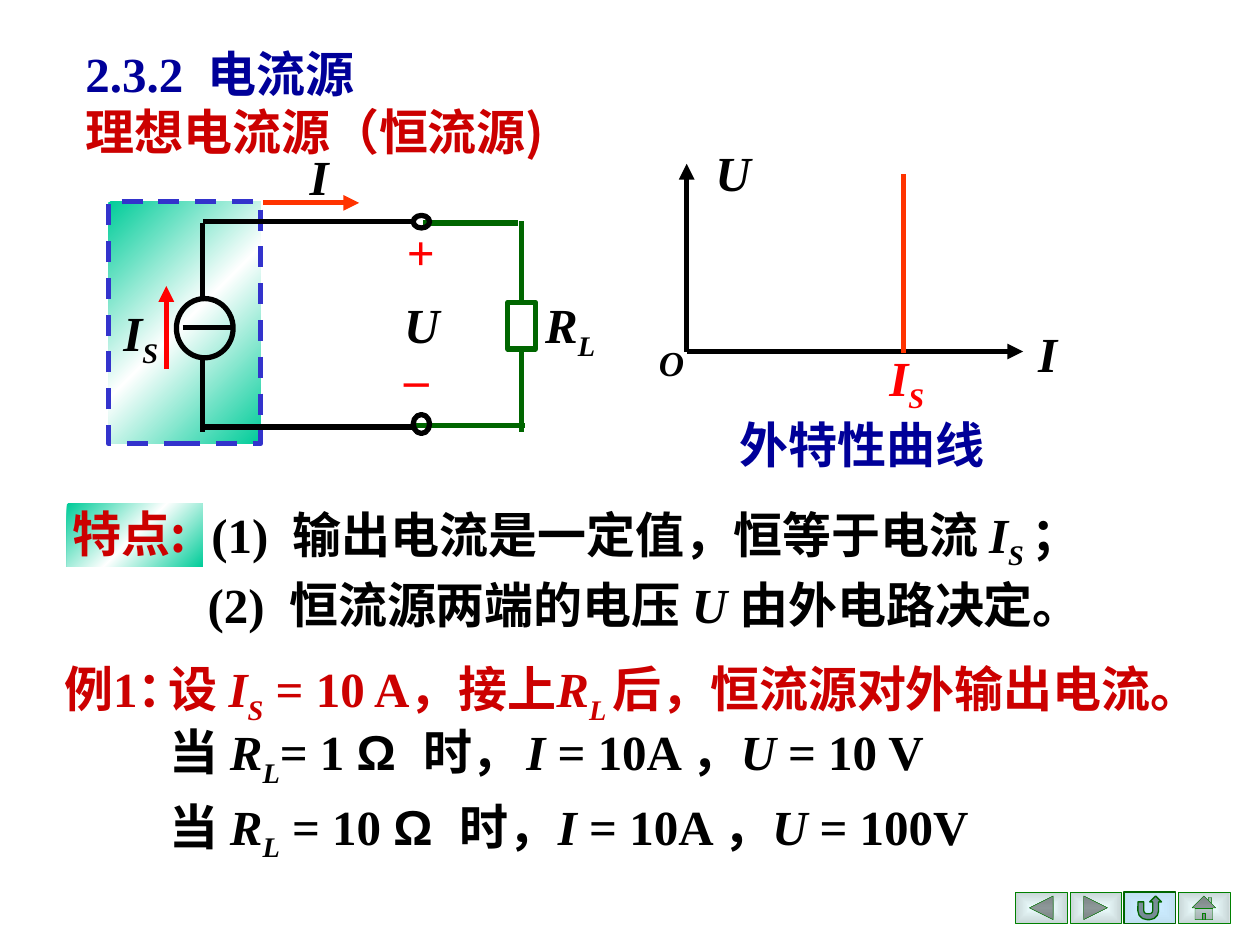
from dataclasses import dataclass
from typing import NamedTuple

import pptx
import pptx.dml.color
import pptx.enum.dml
import pptx.enum.shapes
import pptx.enum.text
import pptx.oxml
import pptx.oxml.ns
import pptx.util

COLS, ROWS = 100, 75
WIDE, HIGH = pptx.util.Inches(10), pptx.util.Inches(7.5)
HUES = {
    "ink": "000000", "navy": "000099", "brick": "CC0000", "red": "FF0000",
    "flame": "FF3300", "moss": "006600", "green": "008000", "blue": "3333CC",
    "mint": "00CC99", "white": "FFFFFF", "ice": "ECFDFE", "steel": "C7D5D6",
    "sky": "CCECFF", "pond": "C1E0F2",
}
HAN, ROMAN, SANS = "Noto Sans CJK SC", "Times New Roman", "Arial"
KINDS = pptx.enum.shapes.MSO_SHAPE


class Run(NamedTuple):
    text: str
    slant: bool = False
    sub: bool = False
    font: str = ROMAN


class Box(NamedTuple):
    col: float
    row: float
    cols: float
    rows: float


@dataclass
class Note:
    box: Box
    runs: list[Run]
    hue: str = "ink"
    size: int = 28
    wrap: bool = True
    mid: bool = False
    align: str = "LEFT"
    lead: float = 1


@dataclass
class Wire:
    start: tuple[float, float]
    end: tuple[float, float]
    hue: str = "ink"
    arrow: bool = False


@dataclass
class Form:
    kind: KINDS
    box: Box
    line: str = ""
    width: float = 3
    fade: str = ""
    dash: bool = False


def var(text: str, sub: str = "") -> list[Run]:
    return [Run(text, True)] + ([Run(sub, True, True)] if sub else [])


def across(cols: float) -> int:
    return round(WIDE * cols / COLS)


def down(rows: float) -> int:
    return round(HIGH * rows / ROWS)


def place(box: Box) -> tuple[int, int, int, int]:
    return across(box.col), down(box.row), across(box.cols), down(box.rows)


def tint(hue: str) -> pptx.dml.color.RGBColor:
    return pptx.dml.color.RGBColor.from_string(HUES[hue])


def blend(stops: list[str], tail: str):
    step = 100000 // (len(stops) - 1)
    marks = "".join(
        f'<a:gs pos="{n * step}"><a:srgbClr val="{HUES[hue]}"/></a:gs>'
        for n, hue in enumerate(stops))
    space = pptx.oxml.ns.nsdecls("a")
    return pptx.oxml.parse_xml(
        f'<a:gradFill {space} rotWithShape="1"><a:gsLst>{marks}</a:gsLst>{tail}</a:gradFill>')


SLOPE = '<a:lin ang="13500000" scaled="1"/>'
CORE = ('<a:path path="rect"><a:fillToRect l="50000" t="50000" '
        'r="50000" b="50000"/></a:path>')
FADES = {
    "sheen": (["mint", "white", "mint"], SLOPE),
    "key": (["ice", "steel"], CORE),
    "back": (["sky", "pond"], CORE),
}


def draw_form(slide, form: Form):
    shape = slide.shapes.add_shape(form.kind, *place(form.box))
    shape.shadow.inherit = False
    shape.fill.background()
    if form.fade:
        props = shape.element.spPr
        props.replace(props.find(pptx.oxml.ns.qn("a:noFill")), blend(*FADES[form.fade]))
    if form.line:
        shape.line.color.rgb = tint(form.line)
        shape.line.width = pptx.util.Pt(form.width)
        if form.dash:
            shape.line.dash_style = pptx.enum.dml.MSO_LINE.DASH
    else:
        shape.line.fill.background()
    return shape


def draw_wire(slide, wire: Wire):
    link = slide.shapes.add_connector(
        pptx.enum.shapes.MSO_CONNECTOR.STRAIGHT,
        across(wire.start[0]), down(wire.start[1]),
        across(wire.end[0]), down(wire.end[1]))
    link.line.color.rgb = tint(wire.hue)
    link.line.width = pptx.util.Pt(3)
    props = link.element.spPr
    if wire.arrow:
        line = props.find(pptx.oxml.ns.qn("a:ln"))
        line.append(line.makeelement(pptx.oxml.ns.qn("a:tailEnd"), {"type": "triangle"}))
    props.append(props.makeelement(pptx.oxml.ns.qn("a:effectLst"), {}))
    return link


def draw_note(slide, note: Note) -> None:
    frame = slide.shapes.add_textbox(*place(note.box)).text_frame
    frame.word_wrap = note.wrap
    anchors = pptx.enum.text.MSO_ANCHOR
    frame.vertical_anchor = anchors.MIDDLE if note.mid else anchors.TOP
    para = frame.paragraphs[0]
    para.alignment = pptx.enum.text.PP_ALIGN[note.align]
    para.line_spacing = note.lead
    for part in note.runs:
        run = para.add_run()
        run.text = part.text
        font = run.font
        font.name, font.size = part.font, pptx.util.Pt(note.size)
        font.bold, font.italic = True, part.slant
        font.color.rgb = tint(note.hue)
        props = run._r.get_or_add_rPr()
        props.append(props.makeelement(pptx.oxml.ns.qn("a:ea"), {"typeface": HAN}))
        if part.sub:
            props.set("baseline", "-25000")


KEYS = [KINDS.ACTION_BUTTON_BACK_OR_PREVIOUS, KINDS.ACTION_BUTTON_FORWARD_OR_NEXT,
        KINDS.ACTION_BUTTON_RETURN, KINDS.ACTION_BUTTON_HOME]
PANELS = [
    Form(KINDS.RECTANGLE, Box(8.6, 16, 12.1, 19.2), "blue", fade="sheen", dash=True),
    Form(KINDS.RECTANGLE, Box(5.3, 40, 10.8, 5), fade="sheen"),
]
RINGS = [Form(KINDS.OVAL, box, "ink") for box in (
    Box(14, 23.7, 4.5, 4.7), Box(32.8, 17.1, 1.3, 1), Box(32.8, 32.9, 1.3, 1.5))]
LOAD = Form(KINDS.RECTANGLE, Box(40.3, 24, 2.2, 3.7), "moss")
LEGS = [(0, Wire((41.4, 24), (41.4, 17.5), "moss")),
        (2, Wire((41.4, 27.7), (41.4, 34.3), "moss"))]
WIRES = [
    Wire((33.6, 17.7), (41.1, 17.7), "moss"),
    Wire((32.8, 33.8), (41.7, 33.8), "moss"),
    Wire((54.5, 27.9), (54.5, 13), arrow=True),
    Wire((54.5, 27.9), (81.2, 27.9), arrow=True),
    Wire((71.7, 28), (71.7, 13.8), "flame"),
    Wire((16.1, 28.5), (16.1, 34.3)),
    Wire((16.1, 33.9), (32.7, 33.9)),
    Wire((16.1, 17.6), (32.7, 17.6)),
    Wire((16.1, 17.7), (16.1, 23.9)),
    Wire((14.5, 26), (18.6, 26)),
    Wire((20.9, 16.1), (28.5, 16.1), "flame", True),
    Wire((13.2, 29.3), (13.2, 22.7), "red", True),
]
NOTES = [
    Note(Box(5.8, 3.3, 27.5, 5), [Run("2.3.2  "), Run("电流源", font=HAN)], "navy", mid=True),
    Note(Box(5.8, 7.5, 45.8, 5.8), [Run("理想电流源（恒流源)", font=HAN)], "brick", mid=True),
    Note(Box(3.3, 51.8, 13.3, 6.7), [Run("例1：")], "brick", align="CENTER"),
    Note(Box(15.8, 39.3, 74.1, 6.6),
         [Run("(1)  输出电流是一定值，恒等于电流 "), *var("I", "S "), Run("；")],
         wrap=False, lead=1.05),
    Note(Box(15.5, 45.1, 74.2, 5.7),
         [Run("(2)  恒流源两端的电压 "), *var("U "), Run("由外电路决定。")], wrap=False),
    Note(Box(4.8, 39.5, 12.7, 5.7), [Run("特点:", font=HAN)], "brick"),
    Note(Box(12.4, 51.8, 87.6, 11),
         [Run("设 "), *var("I", "S"), Run(" = 10 A，接上"), *var("R", "L "),
          Run("后，恒流源对外输出电流。")], "brick"),
    Note(Box(12.5, 56.8, 31.7, 6.3),
         [Run("当 "), *var("R", "L"), Run("= 1 "), Run("Ω  ", font=SANS), Run("时，")]),
    Note(Box(40.8, 56.8, 36.7, 5.7),
         [*var("I "), Run("= 10A ，"), *var("U"), Run(" = 10 V")]),
    Note(Box(12.5, 62.7, 29.5, 11),
         [Run("当 "), *var("R", "L"), Run(" = 10 "), Run("Ω  ", font=SANS), Run("时，")]),
    Note(Box(43.3, 62.7, 40.8, 5.7),
         [*var("I "), Run("= 10A ，"), *var("U "), Run("= 100V")]),
    Note(Box(57.7, 32.4, 23.2, 5.7), [Run("外特性曲线")], "navy", wrap=False),
    Note(Box(69.6, 27.1, 5.4, 6.3), var("I", "S"), "red"),
    Note(Box(51.3, 26.6, 4, 4.4), var("O"), size=20, wrap=False, mid=True, align="CENTER"),
    Note(Box(41.7, 22.9, 7.1, 6.3), var("R", "L"), wrap=False, mid=True, align="CENTER"),
    Note(Box(81.4, 25.2, 3.5, 5.7), var("I"), wrap=False),
    Note(Box(55.8, 10.8, 4.8, 5.7), var("U"), wrap=False),
    Note(Box(23.6, 11.1, 3.5, 5.7), var("I"), wrap=False),
    Note(Box(8.8, 23.5, 4.8, 6.3), var("I", "S"), wrap=False),
    Note(Box(31.1, 22.9, 4.8, 5.7), var("U"), wrap=False),
    Note(Box(31.3, 17.1, 4.2, 5.7), [Run("+")], "red", wrap=False),
    Note(Box(31.1, 25.8, 4, 5.7), [Run("_")], "red", wrap=False),
]


def main() -> None:
    deck = pptx.Presentation()
    deck.slide_width, deck.slide_height = WIDE, HIGH
    slide = deck.slides.add_slide(deck.slide_layouts[6])
    for n, kind in enumerate(KEYS):
        box = Box(80.6 + 4.3 * n, 70.8, 4.1, 2.5)
        back = kind == KINDS.ACTION_BUTTON_RETURN
        draw_form(slide, Form(kind, box, "moss", 0.75, "back") if back
                  else Form(kind, box, "green", 0.25, "key"))
    for form in PANELS:
        draw_form(slide, form)
    load = draw_form(slide, LOAD)
    for side, wire in LEGS:
        draw_wire(slide, wire).begin_connect(load, side)
    for wire in WIRES:
        draw_wire(slide, wire)
    for ring in RINGS:
        draw_form(slide, ring)
    for note in NOTES:
        draw_note(slide, note)
    deck.save("out.pptx")


if __name__ == "__main__":
    main()
